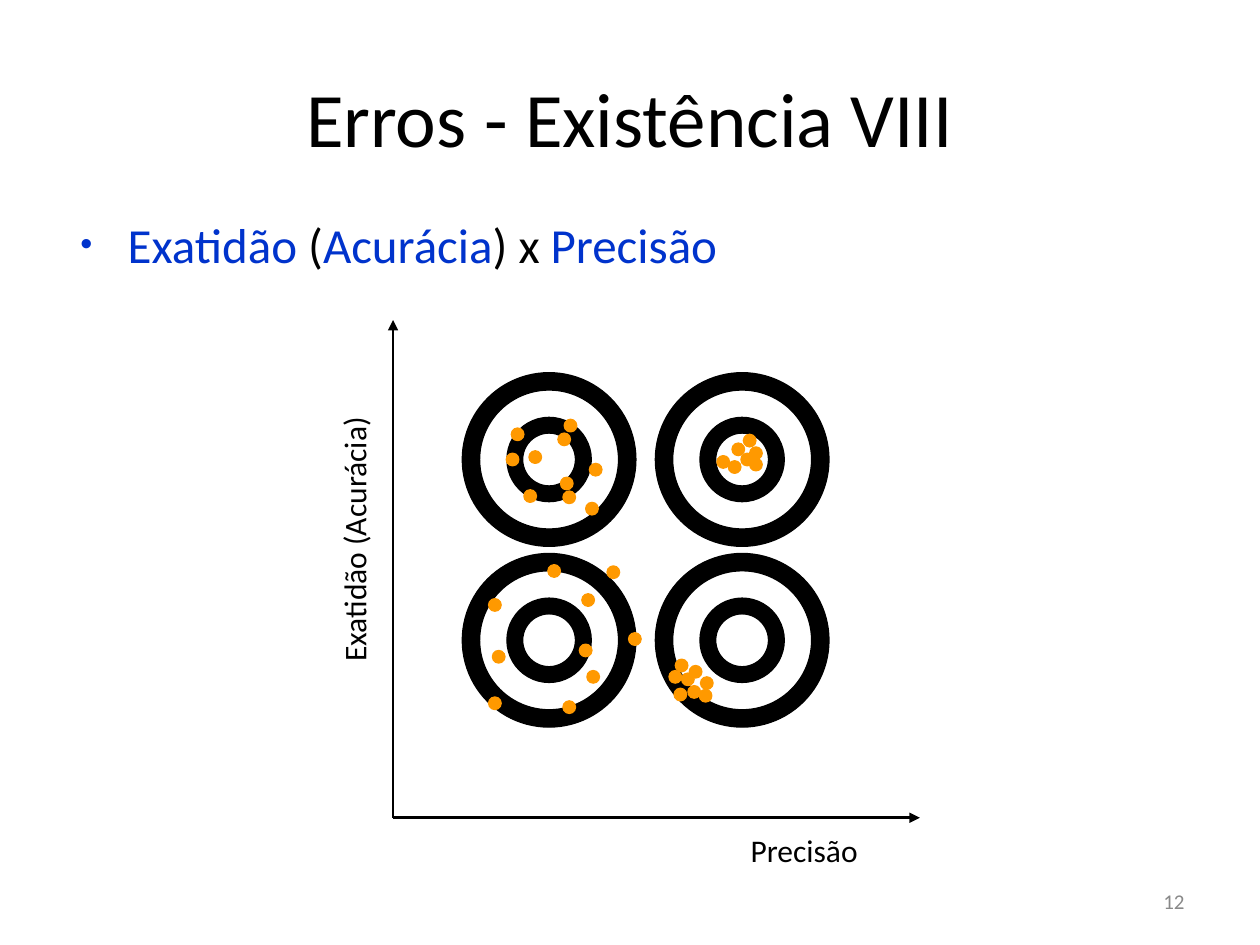
from lxml.etree import SubElement
from pptx import Presentation
from pptx.dml.color import RGBColor
from pptx.enum.shapes import MSO_CONNECTOR, MSO_SHAPE
from pptx.enum.text import MSO_ANCHOR, PP_ALIGN
from pptx.oxml.ns import qn
from pptx.util import Pt

BLACK, BLUE, GOLD, GRAY = "000000", "0033CC", "FF9900", "898989"


def tint(code):
    """Turn a hex string into a colour."""
    return RGBColor.from_string(code)


def add_xml(parent, tag, **attrs):
    """Append an XML child to parent."""
    return SubElement(parent, qn(tag), attrs)


class Board:
    """Hold the style and the current slide."""

    font = "Calibri"
    edge = 0.75

    def __init__(self, slide):
        """Keep the slide to draw on."""
        self.slide = slide

    def text(self, box, runs, size, turn=0, anchor=MSO_ANCHOR.TOP, align=PP_ALIGN.LEFT):
        """Add one paragraph of (text, colour) runs and return it."""
        shape = self.slide.shapes.add_textbox(*map(Pt, box))
        shape.rotation = turn
        frame = shape.text_frame
        for name, value in {"word_wrap": True, "vertical_anchor": anchor}.items():
            setattr(frame, name, value)
        para = frame.paragraphs[0]
        para.alignment = align
        for words, code in runs:
            run = para.add_run()
            run.text = words
            for name, value in {"name": self.font, "size": Pt(size)}.items():
                setattr(run.font, name, value)
            run.font.color.rgb = tint(code)
        return para

    def bullet(self, para, indent, code):
        """Give a paragraph a hanging bullet."""
        props = para._p.get_or_add_pPr()
        for name, value in {"marL": indent, "indent": -indent}.items():
            props.set(name, str(Pt(value)))
        add_xml(add_xml(props, "a:buClr"), "a:srgbClr", val=code)
        add_xml(props, "a:buSzPct", val="70000")
        add_xml(props, "a:buFont", typeface="Arial")
        add_xml(props, "a:buChar", char="•")

    def round(self, kind, x, y, size, code):
        """Add a round shape centred on a point."""
        box = (x - size / 2, y - size / 2, size, size)
        shape = self.slide.shapes.add_shape(kind, *map(Pt, box))
        shape.shadow.inherit = False
        shape.fill.solid()
        shape.fill.fore_color.rgb = tint(code)
        shape.line.color.rgb = tint(code)
        shape.line.width = Pt(self.edge)
        return shape

    def ring(self, x, y, size, band):
        """Add a black ring with the given band width."""
        ring = self.round(MSO_SHAPE.DONUT, x, y, size, BLACK)
        ring.adjustments[0] = band / size

    def target(self, x, y, hits):
        """Add a two-ring target."""
        self.ring(x, y, 99.2, 9.9)
        self.ring(x, y, 48.2, 9)

    def arrow(self, *ends):
        """Add an axis with an arrowhead at its end."""
        line = self.slide.shapes.add_connector(MSO_CONNECTOR.STRAIGHT, *map(Pt, ends))
        line.line.color.rgb = tint(BLACK)
        line.line.width = Pt(1.5)
        add_xml(line.line._get_or_add_ln(), "a:tailEnd", type="triangle")
        add_xml(line._element.spPr, "a:effectLst")


LEFT, RIGHT, HIGH, LOW = 313.8, 424.1, 262.6, 365.9
HITS = {
    (LEFT, HIGH): [(-18, -14.4), (12.2, -19.4), (8.6, -11.5), (-7.9, -1.4), (-20.9, 0),
                   (-10.8, 20.9), (26.6, 5.8), (11.5, 21.6), (10.1, 13.7), (24.5, 28.1)],
    (LEFT, LOW): [(36.7, -38.9), (2.9, -39.6), (-28.8, 9.4), (-31, -20.2), (22.3, -23),
                  (49, -0.7), (20.9, 5.8), (25.2, 20.9), (-31, 36), (11.5, 38.2)],
    (RIGHT, HIGH): [(-2.2, -5.8), (4.3, -10.8), (-4.3, 4.3), (2.9, 0), (7.9, -3.6),
                    (7.9, 2.9), (-10.8, 1.4)],
    (RIGHT, LOW): [(-38.2, 20.9), (-34.6, 14.4), (-35.3, 31), (-26.6, 18), (-31, 22.3),
                   (-27.4, 29.5), (-20.2, 24.5), (-20.9, 31.7)],
}

deck = Presentation()
deck.slide_width, deck.slide_height = Pt(720), Pt(540)
board = Board(deck.slides.add_slide(deck.slide_layouts[6]))

board.text((516.2, 500.4, 167.8, 28.8), [("12", GRAY)], 12,
           anchor=MSO_ANCHOR.MIDDLE, align=PP_ALIGN.RIGHT)
board.text((36, 21.6, 648, 90), [("Erros - Existência VIII", BLACK)], 44,
           anchor=MSO_ANCHOR.MIDDLE, align=PP_ALIGN.CENTER)
topic = board.text((38.9, 118.8, 642.2, 54.7),
                   [("Exatidão ", BLUE), ("(", BLACK), ("Acurácia", BLUE),
                    (") x ", BLACK), ("Precisão", BLUE)], 28)
board.bullet(topic, 27, BLUE)

for (x, y), hits in HITS.items():
    board.target(x, y, hits)
for end in ((525.6, 467.3), (224.6, 182.9)):
    board.arrow(224.6, 467.3, *end)
for (x, y), hits in HITS.items():
    for dx, dy in hits:
        board.round(MSO_SHAPE.OVAL, x + dx, y + dy, 7.2, GOLD)

board.text((421.9, 471.6, 129.6, 28.8), [("Precisão", BLACK)], 18)
board.text((97.9, 266.4, 208.8, 28.8), [("Exatidão (Acurácia)", BLACK)], 18, turn=270)

deck.save("out.pptx")
